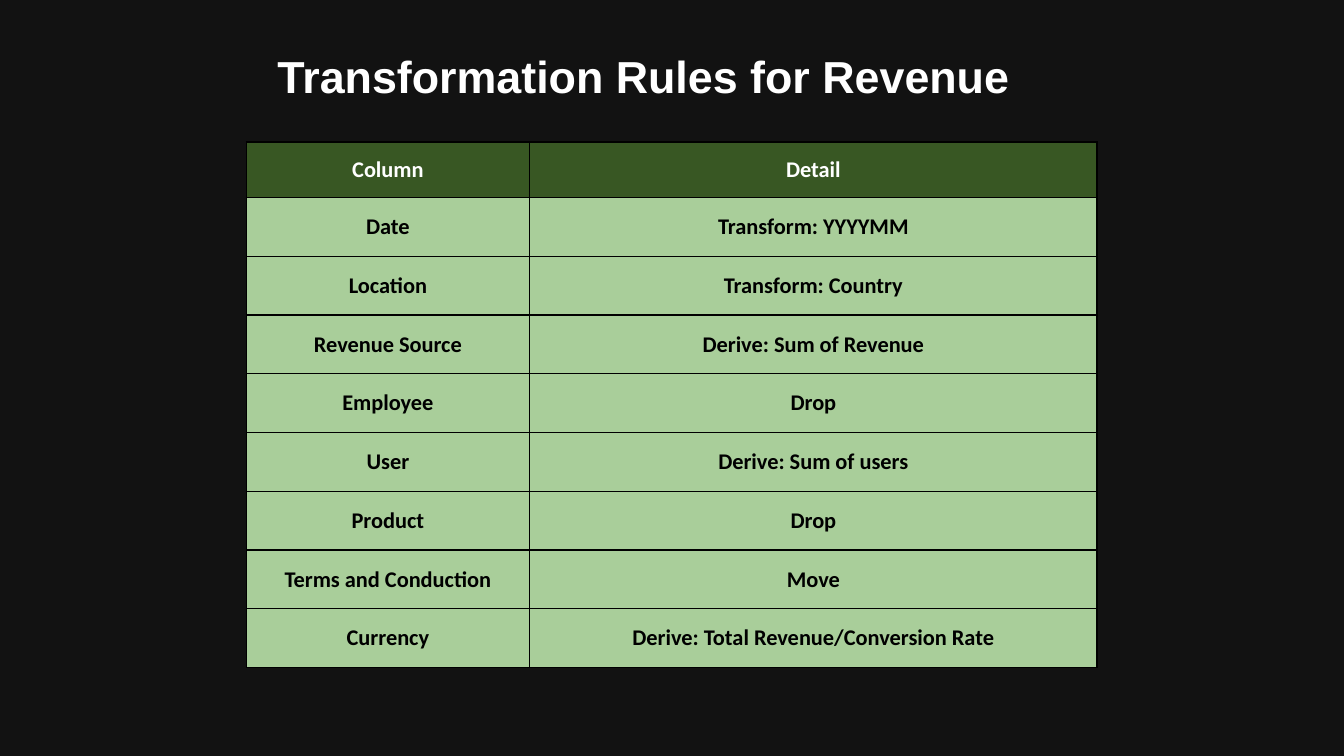
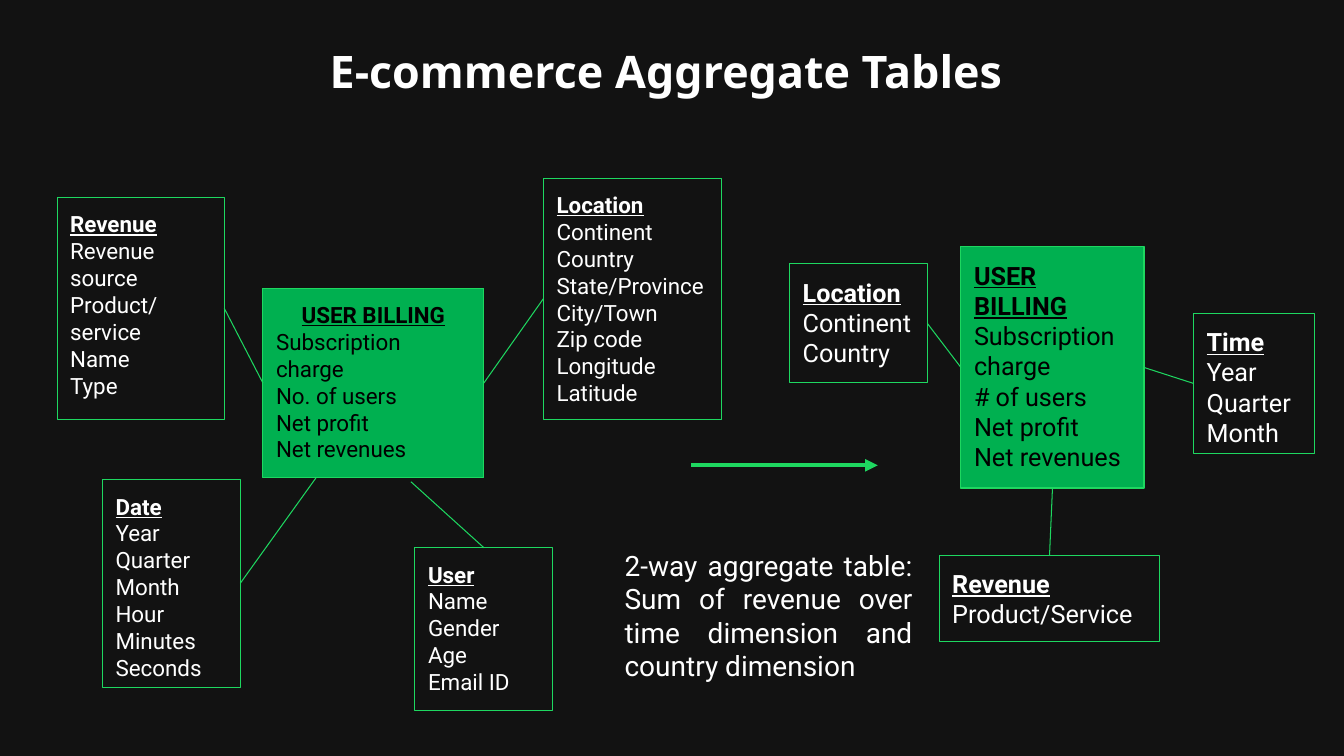
from lxml.etree import SubElement
from pptx import Presentation
from pptx.dml.color import RGBColor
from pptx.enum.shapes import MSO_CONNECTOR, MSO_SHAPE
from pptx.enum.text import MSO_ANCHOR, MSO_AUTO_SIZE, PP_ALIGN
from pptx.oxml.ns import qn
from pptx.util import Emu, Inches, Pt

COLORS = {
    "background": "121212",
    "text": "FFFFFF",
    "dark_text": "000000",
    "line": "1ED760",
    "hub": "00B050",
    "header": "385723",
    "body": "A9CE9A",
    "border": "000000",
}
COLUMNS, ROWS = 160, 90
CELL = Inches(1) / 12
INSET = Inches(0.13)
TITLE_ONLY = 5
TOP, LEFT, BOTTOM, RIGHT = range(4)

RULES = [
    ("Column", "Detail"),
    ("Date", "Transform: YYYYMM"),
    ("Location", "Transform: Country"),
    ("Revenue Source", "Derive: Sum of Revenue"),
    ("Employee", "Drop"),
    ("User", "Derive: Sum of users"),
    ("Product", "Drop"),
    ("Terms and Conduction", "Move"),
    ("Currency", "Derive: Total Revenue/Conversion Rate"),
]

FULL_STAR = {
    "size": 16,
    "hub": ((24.5, 13.1, 26.3, 22.6), PP_ALIGN.CENTER,
            ["USER BILLING", "Subscription charge", "No. of users",
             "Net profit", "Net revenues"]),
    "dimensions": [
        ((0, 2.3, 19.9, 26.4), (0, 0.5), RIGHT,
         ["Revenue", "Revenue source", "Product/service", "Name", "Type"]),
        ((5.4, 35.9, 16.4, 24.7), (0.24, 1), RIGHT,
         ["Date", "Year", "Quarter", "Month", "Hour", "Minutes", "Seconds"]),
        ((57.9, 0, 21.2, 28.7), (1, 0.5), LEFT,
         ["Location", "Continent", "Country", "State/Province", "City/Town",
          "Zip code", "Longitude", "Latitude"]),
        ((42.6, 44, 16.4, 19.4), (0.67, 1.02), TOP,
         ["User", "Name", "Gender", "Age", "Email ID"]),
    ],
}
AGGREGATE_STAR = {
    "size": 18,
    "hub": ((20.4, 0, 21.8, 28.7), PP_ALIGN.LEFT,
            ["USER BILLING", "Subscription charge", "# of users",
             "Net profit", "Net revenues"]),
    "dimensions": [
        ((48.1, 7.9, 14.4, 16.7), (1, 0.5), LEFT,
         ["Time", "Year", "Quarter", "Month"]),
        ((0, 2, 16.4, 14.2), (0, 0.5), RIGHT,
         ["Location", "Continent", "Country"]),
        ((17.8, 36.7, 26.3, 10.3), (0.5, 1), TOP,
         ["Revenue", "Product/Service"]),
    ],
}


def color(name):
    return RGBColor.from_string(COLORS[name])


def grid(*lengths):
    return [Emu(round(length * CELL)) for length in lengths]


def style_font(font, size, name, tint="text", bold=False, underline=False):
    font.size = Pt(size)
    font.name = name
    font.bold = bold
    font.underline = underline
    font.color.rgb = color(tint)


def set_frame(frame, anchor=MSO_ANCHOR.TOP, vertical=INSET):
    frame.word_wrap = True
    frame.auto_size = MSO_AUTO_SIZE.NONE
    frame.vertical_anchor = anchor
    frame.margin_left = frame.margin_right = INSET
    frame.margin_top = frame.margin_bottom = vertical


def add_titled_page(deck, text, box, font_name, anchor):
    page = deck.slides.add_slide(deck.slide_layouts[TITLE_ONLY])
    title = page.shapes.title
    title.left, title.top, title.width, title.height = grid(*box)
    frame = title.text_frame
    set_frame(frame, anchor, Inches(0.13 if anchor == MSO_ANCHOR.TOP else 0.07))
    frame.text = text
    para = frame.paragraphs[0]
    para.alignment = PP_ALIGN.CENTER
    style_font(para.runs[0].font, 32, font_name, bold=True)
    return page


def add_borders(cell):
    properties = cell._tc.get_or_add_tcPr()
    for side in ("lnL", "lnR", "lnT", "lnB"):
        line = SubElement(properties, qn(f"a:{side}"), w=str(Pt(1)))
        fill = SubElement(line, qn("a:solidFill"))
        SubElement(fill, qn("a:srgbClr"), val=COLORS["border"])


def add_rules_table(page, box):
    left, top, width, height = box
    body_row = 7
    header_row = height - body_row * (len(RULES) - 1)
    table = page.shapes.add_table(len(RULES), 2, *grid(*box)).table
    for column, share in zip(table.columns, (1 / 3, 2 / 3)):
        column.width = grid(width * share)[0]
    for index, (row, texts) in enumerate(zip(table.rows, RULES)):
        is_header = index == 0
        row.height = grid(header_row if is_header else body_row)[0]
        for cell, text in zip(row.cells, texts):
            add_borders(cell)
            cell.fill.solid()
            cell.fill.fore_color.rgb = color("header" if is_header else "body")
            cell.vertical_anchor = MSO_ANCHOR.MIDDLE
            cell.margin_left = cell.margin_right = INSET
            cell.text = text
            para = cell.text_frame.paragraphs[0]
            para.alignment = PP_ALIGN.CENTER
            style_font(para.runs[0].font, 16, "Calibri",
                       "text" if is_header else "dark_text", bold=True)


def add_line(page, start, end, width=0.75):
    line = page.shapes.add_connector(MSO_CONNECTOR.STRAIGHT, *start, *end)
    line.line.color.rgb = color("line")
    line.line.width = Pt(width)
    SubElement(line._element.spPr, qn("a:effectLst"))
    return line


def add_arrow(page, start, end):
    arrow = add_line(page, grid(*start), grid(*end), 3)
    SubElement(arrow.line._get_or_add_ln(), qn("a:tailEnd"), type="triangle")


def add_entity(page, box, lines, size, is_hub=False, heading=PP_ALIGN.LEFT):
    entity = page.shapes.add_shape(MSO_SHAPE.RECTANGLE, *grid(*box))
    entity.shadow.inherit = False
    entity.line.color.rgb = color("line")
    entity.line.width = Pt(0.75)
    if is_hub:
        entity.fill.solid()
        entity.fill.fore_color.rgb = color("hub")
    else:
        entity.fill.background()
    frame = entity.text_frame
    set_frame(frame)
    frame.text = "\n".join(lines)
    for index, para in enumerate(frame.paragraphs):
        is_heading = index == 0
        para.alignment = heading if is_heading else PP_ALIGN.LEFT
        style_font(para.runs[0].font, size, "Roboto",
                   "dark_text" if is_hub else "text", is_heading, is_heading)
    return entity


def add_star(page, origin, star):
    def place(box):
        left, top, width, height = box
        return origin[0] + left, origin[1] + top, width, height

    size = star["size"]
    hub_box, heading, lines = star["hub"]
    hub = add_entity(page, place(hub_box), lines, size, True, heading)
    for box, (across, down), site, lines in star["dimensions"]:
        dimension = add_entity(page, place(box), lines, size)
        start = (Emu(round(hub.left + across * hub.width)),
                 Emu(round(hub.top + down * hub.height)))
        add_line(page, start, start).end_connect(dimension, site)


def add_caption(page, box, text):
    frame = page.shapes.add_textbox(*grid(*box)).text_frame
    set_frame(frame)
    frame.text = text
    para = frame.paragraphs[0]
    para.alignment = PP_ALIGN.JUSTIFY
    style_font(para.runs[0].font, 20, "Roboto")


def build_rules_page(deck):
    page = add_titled_page(deck, "Transformation Rules for Revenue",
                           (5.3, 5, 142.7, 8), "Arial", MSO_ANCHOR.MIDDLE)
    add_rules_table(page, (29.3, 16.9, 101.3, 62.6))


def build_aggregate_page(deck):
    page = add_titled_page(deck, "E-commerce Aggregate Tables ",
                           (2.4, 3.7, 155.2, 9.7), "Noto Sans", MSO_ANCHOR.TOP)
    add_star(page, (6.8, 21.2), FULL_STAR)
    add_arrow(page, (82.3, 55.4), (104.5, 55.4))
    add_star(page, (94, 29.4), AGGREGATE_STAR)
    add_caption(page, (72.8, 63.7, 37.4, 19.4),
                "2-way aggregate table: Sum of revenue over time dimension "
                "and country dimension")


def main():
    deck = Presentation()
    deck.slide_width, deck.slide_height = grid(COLUMNS, ROWS)
    backdrop = deck.slide_master.background.fill
    backdrop.solid()
    backdrop.fore_color.rgb = color("background")
    build_rules_page(deck)
    build_aggregate_page(deck)
    deck.save("out.pptx")


if __name__ == "__main__":
    main()
